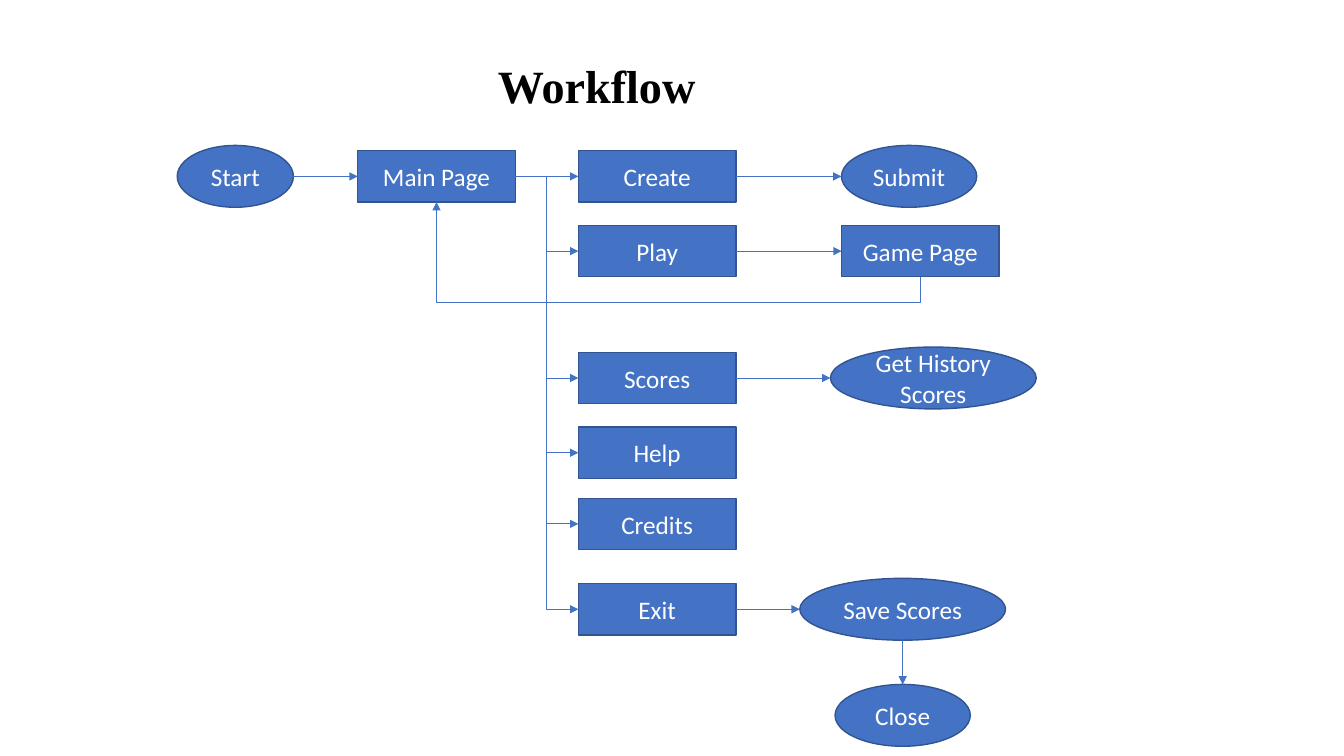
"""Build the Workflow flowchart slide."""
from lxml.etree import SubElement
from pptx import Presentation
from pptx.dml.color import RGBColor as Color
from pptx.enum.shapes import MSO_CONNECTOR as Link, MSO_SHAPE as Preset
from pptx.enum.text import MSO_ANCHOR as Anchor, MSO_AUTO_SIZE as AutoSize, PP_ALIGN as Align
from pptx.oxml.ns import qn
from pptx.util import Pt

THEME = {
    "fill": Color(0x44, 0x72, 0xC4),
    "outline": Color(0x32, 0x54, 0x91),
    "outline_width": Pt(1),
    "link_width": Pt(0.5),
    "title": {"name": "Times New Roman", "size": Pt(33), "bold": True,
              "color": Color(0, 0, 0)},
    "label": {"name": "Calibri", "size": Pt(18), "color": Color(255, 255, 255)},
}
SLIDE_SIZE = (960, 540)
TITLE = "Workflow"
TITLE_FRAME = {"left": Pt(348.5), "top": Pt(44.6), "width": Pt(160.6), "height": Pt(41.8)}
BOX_WIDTH, BOX_HEIGHT, OVAL_HEIGHT = 112.5, 36.7, 44.2
MENU_X, LOOP_DROP = 469.4, 18
MENU = {"Create": 126, "Play": 179.4, "Scores": 270, "Help": 323.4,
        "Credits": 374.2, "Exit": 435.2}
PAGES = {"Main Page": (311.8, MENU["Create"]), "Game Page": (657.4, MENU["Play"])}
OVALS = {
    "Start": (168.1, MENU["Create"], 83),
    "Submit": (649.4, MENU["Create"], 96.6),
    "Get History Scores": (666.7, MENU["Scores"], 147),
    "Save Scores": (644.8, MENU["Exit"], 147),
    "Close": (644.8, 511, 96.6),
}
ACROSS = [("Start", "Main Page"), ("Create", "Submit"), ("Play", "Game Page"),
          ("Scores", "Get History Scores"), ("Exit", "Save Scores")]
DOWN = ("Save Scores", "Close")
LOOP = ("Game Page", "Main Page")


def format_font(font, values):
    """Apply a dict of font values."""
    for name, value in values.items():
        if name == "color":
            font.color.rgb = value
        else:
            setattr(font, name, value)


def add_title(slide):
    """Move and format the title placeholder."""
    title = slide.shapes.title
    for name, value in TITLE_FRAME.items():
        setattr(title, name, value)
    frame = title.text_frame
    frame.text = TITLE
    frame.auto_size = AutoSize.NONE
    frame.vertical_anchor = Anchor.MIDDLE
    paragraph = frame.paragraphs[0]
    paragraph.alignment = Align.LEFT
    paragraph.line_spacing = 0.7
    format_font(paragraph.runs[0].font, THEME["title"])


def add_node(slide, label, preset, x, y, width, height):
    """Draw a labelled node centred on x, y and return its edges."""
    left, top = x - width / 2, y - height / 2
    shape = slide.shapes.add_shape(preset, Pt(left), Pt(top), Pt(width), Pt(height))
    shape.shadow.inherit = False
    shape.fill.solid()
    shape.fill.fore_color.rgb = THEME["fill"]
    shape.line.color.rgb = THEME["outline"]
    shape.line.width = THEME["outline_width"]
    frame = shape.text_frame
    frame.word_wrap = True
    frame.vertical_anchor = Anchor.MIDDLE
    frame.text = label
    paragraph = frame.paragraphs[0]
    paragraph.alignment = Align.CENTER
    format_font(paragraph.runs[0].font, THEME["label"])
    return {"left": (left, y), "right": (left + width, y),
            "top": (x, top), "bottom": (x, top + height)}


def add_arrow(slide, start, end, kind=Link.STRAIGHT):
    """Draw an arrow between two points."""
    connector = slide.shapes.add_connector(kind, *(Pt(value) for value in (*start, *end)))
    connector.line.color.rgb = THEME["fill"]
    connector.line.width = THEME["link_width"]
    properties = connector._element.spPr
    SubElement(properties.find(qn("a:ln")), qn("a:tailEnd"), type="triangle")
    SubElement(properties, qn("a:effectLst"))
    return connector


def add_loop(slide, start, end):
    """Draw the return arrow as a quarter-turned elbow dipping below its start."""
    x, y = (start[0] + end[0]) / 2, (start[1] + end[1]) / 2
    across, rise = start[0] - end[0], start[1] - end[1]
    connector = add_arrow(slide, (x + rise / 2, y - across / 2),
                          (x - rise / 2, y + across / 2), Link.ELBOW)
    properties = connector._element.spPr
    properties.find(qn("a:xfrm")).set("rot", str(90 * 60000))
    adjustments = properties.find(qn("a:prstGeom")).get_or_add_avLst()
    ratio = round(-LOOP_DROP / rise * 100000)
    SubElement(adjustments, qn("a:gd"), name="adj1", fmla=f"val {ratio}")


def main():
    """Build and save the slide."""
    presentation = Presentation()
    presentation.slide_width, presentation.slide_height = map(Pt, SLIDE_SIZE)
    slide = presentation.slides.add_slide(presentation.slide_layouts[5])
    add_title(slide)
    boxes = PAGES | {label: (MENU_X, y) for label, y in MENU.items()}
    nodes = {label: add_node(slide, label, Preset.RECTANGLE, x, y, BOX_WIDTH, BOX_HEIGHT)
             for label, (x, y) in boxes.items()}
    for label, (x, y, width) in OVALS.items():
        nodes[label] = add_node(slide, label, Preset.OVAL, x, y, width, OVAL_HEIGHT)
    for source, target in ACROSS:
        add_arrow(slide, nodes[source]["right"], nodes[target]["left"])
    trunk = nodes["Main Page"]["right"]
    for label, y in MENU.items():
        kind = Link.STRAIGHT if y == trunk[1] else Link.ELBOW
        add_arrow(slide, trunk, nodes[label]["left"], kind)
    add_arrow(slide, nodes[DOWN[0]]["bottom"], nodes[DOWN[1]]["top"])
    add_loop(slide, nodes[LOOP[0]]["bottom"], nodes[LOOP[1]]["bottom"])
    presentation.save("out.pptx")


if __name__ == "__main__":
    main()
